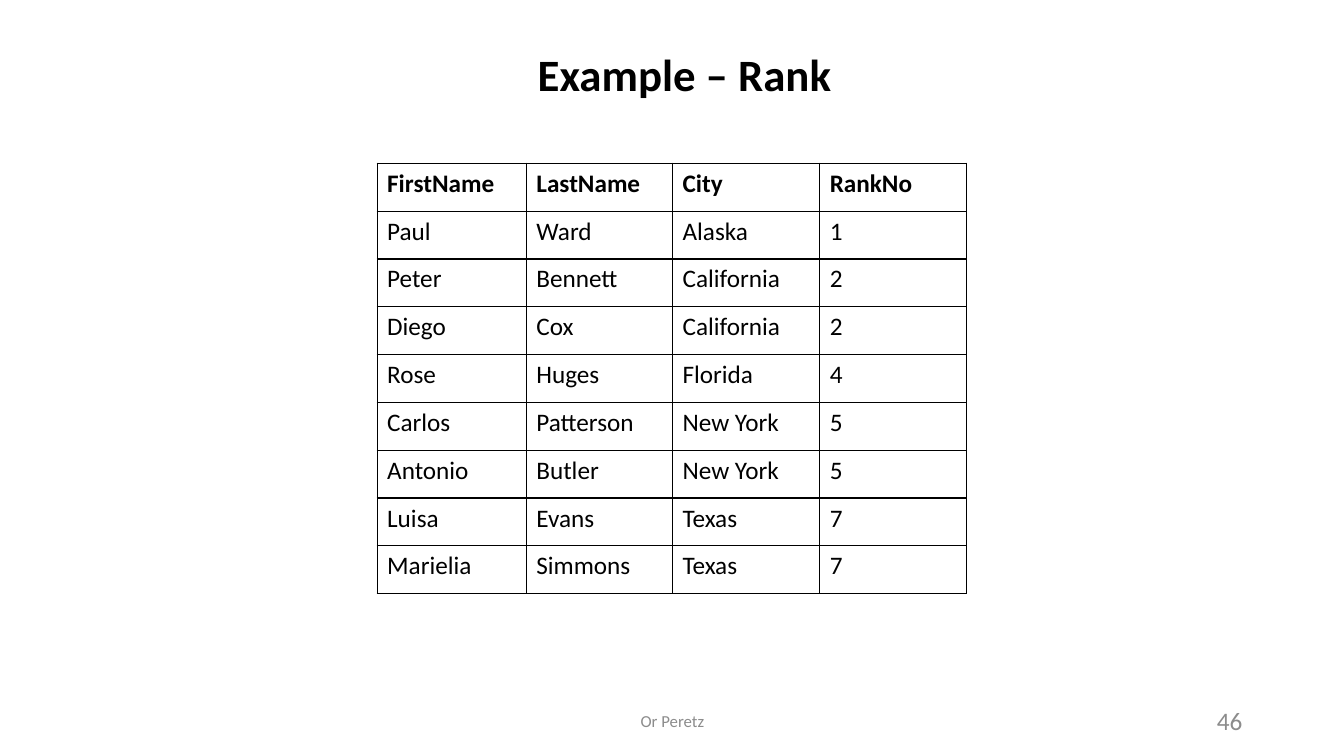
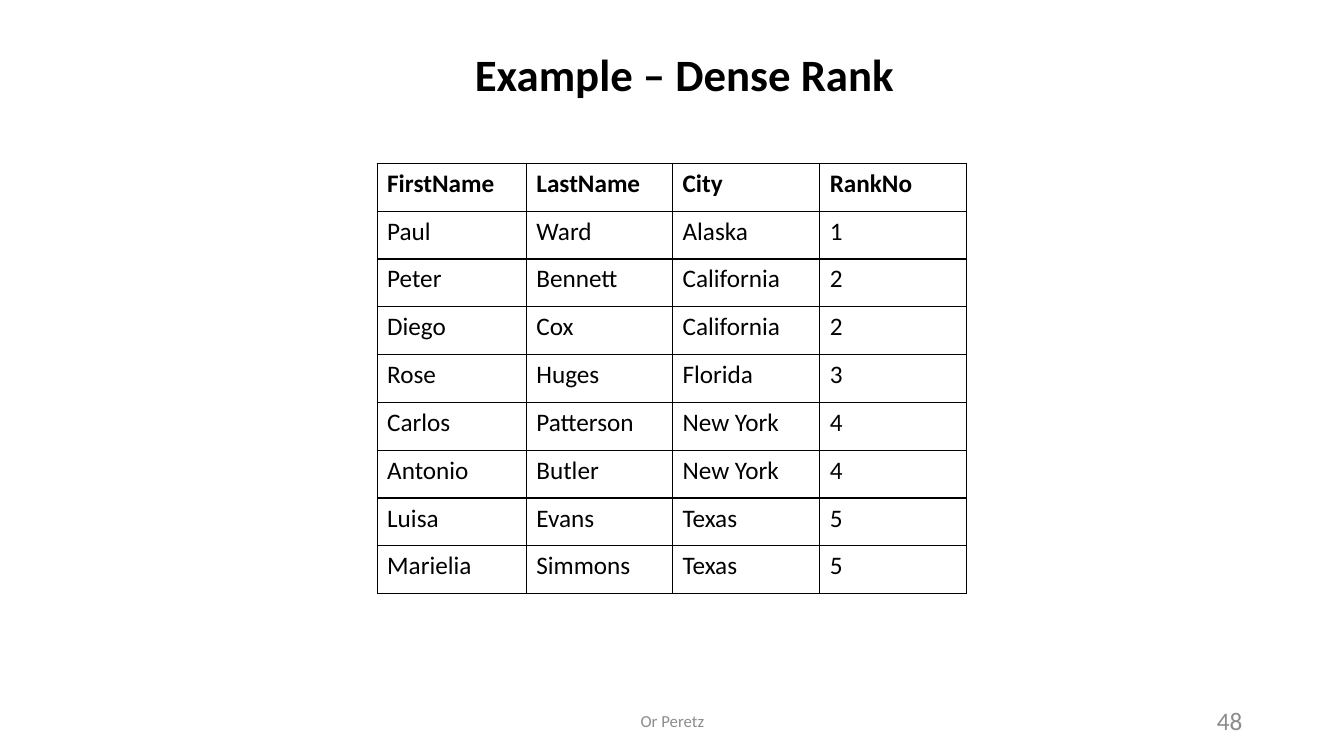
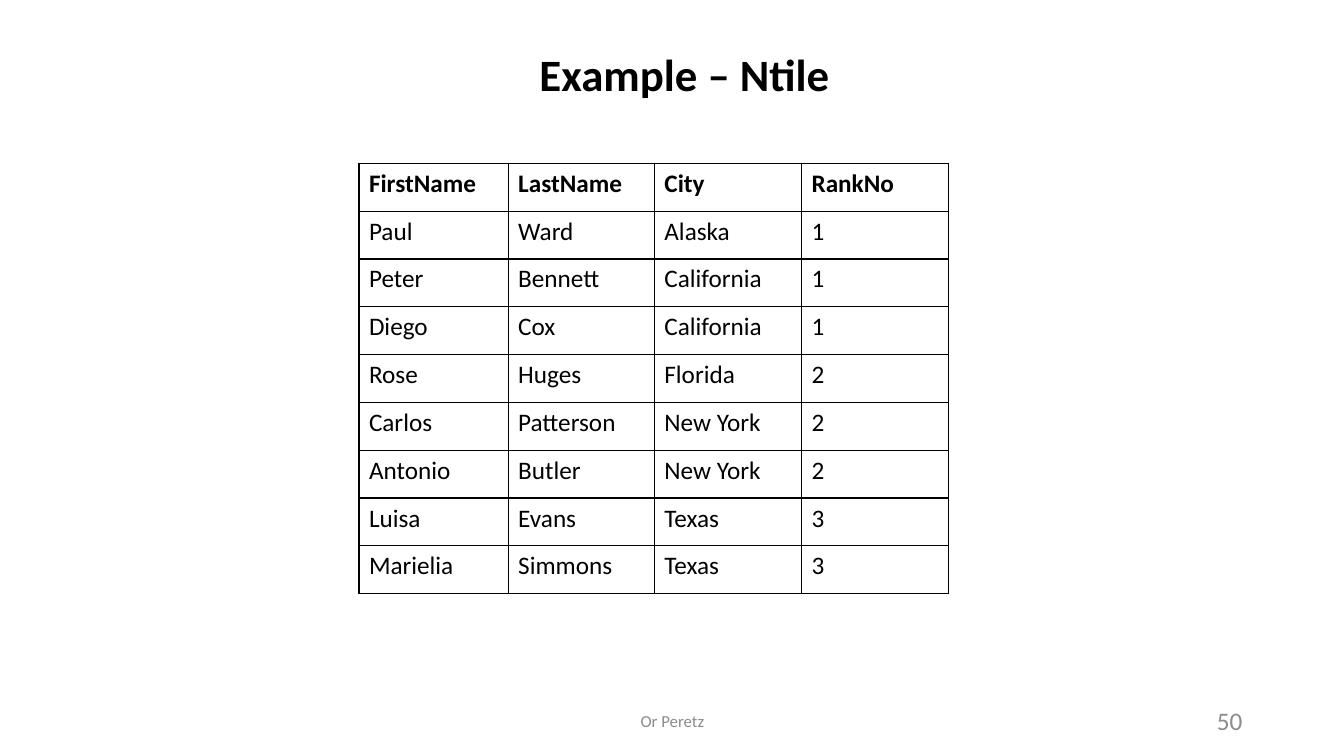
"""Builds three slides that compare SQL ranking functions."""
from pptx import Presentation
from pptx.dml.color import RGBColor
from pptx.enum.text import MSO_ANCHOR as Anchor, PP_ALIGN as Align
from pptx.oxml import parse_xml
from pptx.oxml.ns import nsdecls
from pptx.util import Inches, Pt

BLACK = RGBColor(0x00, 0x00, 0x00)
GREY = RGBColor(0x8C, 0x8C, 0x8C)
FONT = "Calibri"
AUTHOR = "Or Peretz"

TITLE_BOX = (0.44, 0.15, 12.7, 7.09)
NUMBER_BOX = (9.42, 6.95, 3, 0.4)
AUTHOR_BOX = (4.42, 6.95, 4.5, 0.4)
TABLE_TOP, TABLE_HEIGHT = 1.62, 4.27
WIDTHS = (1.48, 1.45, 1.46, 1.46)

HEAD = ("FirstName", "LastName", "City", "RankNo")
PEOPLE = (
    ("Paul", "Ward", "Alaska"),
    ("Peter", "Bennett", "California"),
    ("Diego", "Cox", "California"),
    ("Rose", "Huges", "Florida"),
    ("Carlos", "Patterson", "New York"),
    ("Antonio", "Butler", "New York"),
    ("Luisa", "Evans", "Texas"),
    ("Marielia", "Simmons", "Texas"),
)
SLIDES = (
    ("Example – Rank", 46, 3.74, (1, 2, 2, 4, 5, 5, 7, 7)),
    ("Example – Dense Rank", 48, 3.74, (1, 2, 2, 3, 4, 4, 5, 5)),
    ("Example – Ntile", 50, 3.56, (1, 1, 1, 2, 2, 2, 3, 3)),
)


def style(para, size, color=BLACK, bold=False):
    """Set the font of a whole paragraph."""
    font = para.font
    font.name, font.size, font.bold = FONT, Pt(size), bold
    font.color.rgb = color


def add_text(slide, box, text, size, align, color=GREY, bold=False,
             anchor=Anchor.MIDDLE):
    """Place one line of text in a box and return its paragraph."""
    frame = slide.shapes.add_textbox(*map(Inches, box)).text_frame
    frame.word_wrap = True
    frame.vertical_anchor = anchor
    para = frame.paragraphs[0]
    para.text, para.alignment = text, align
    style(para, size, color, bold)
    return para


def add_title(slide, box, text):
    """Place the slide title at the top of its box."""
    para = add_text(slide, box, text, 32, Align.CENTER, BLACK, True, Anchor.TOP)
    para.line_spacing = 1.5


def add_footer(slide, number):
    """Place the page number and the author."""
    add_text(slide, NUMBER_BOX, str(number), 18, Align.RIGHT)
    add_text(slide, AUTHOR_BOX, AUTHOR, 12, Align.CENTER)


def add_borders(cell):
    """Draw a thin black line on each side of a cell."""
    props = cell._tc.get_or_add_tcPr()
    for side in "LRTB":
        props.append(parse_xml(
            f'<a:ln{side} {nsdecls("a")} w="{Pt(1)}"><a:solidFill>'
            f'<a:srgbClr val="{BLACK}"/></a:solidFill></a:ln{side}>'))


def add_grid(slide, left, top, height, rows):
    """Place a ruled table whose first row is bold."""
    frame = slide.shapes.add_table(
        len(rows), len(WIDTHS), Inches(left), Inches(top),
        Inches(sum(WIDTHS)), Inches(height))
    table = frame.table
    table.first_row = table.horz_banding = False
    for col, width in zip(table.columns, WIDTHS):
        col.width = Inches(width)
    for r, row in enumerate(rows):
        for c, value in enumerate(row):
            cell = table.cell(r, c)
            cell.text = str(value)
            style(cell.text_frame.paragraphs[0], 18, bold=r == 0)
            add_borders(cell)
            cell.fill.background()


def add_example(deck, title, number, left, ranks):
    """Add one slide with a title, a ranking table and a footer."""
    slide = deck.slides.add_slide(deck.slide_layouts[6])
    rows = [HEAD] + [(*who, rank) for who, rank in zip(PEOPLE, ranks)]
    add_title(slide, TITLE_BOX, title)
    add_footer(slide, number)
    add_grid(slide, left, TABLE_TOP, TABLE_HEIGHT, rows)


def main():
    """Build and save the deck."""
    deck = Presentation()
    deck.slide_width, deck.slide_height = Inches(13.33), Inches(7.5)
    for item in SLIDES:
        add_example(deck, *item)
    deck.save("out.pptx")


if __name__ == "__main__":
    main()
